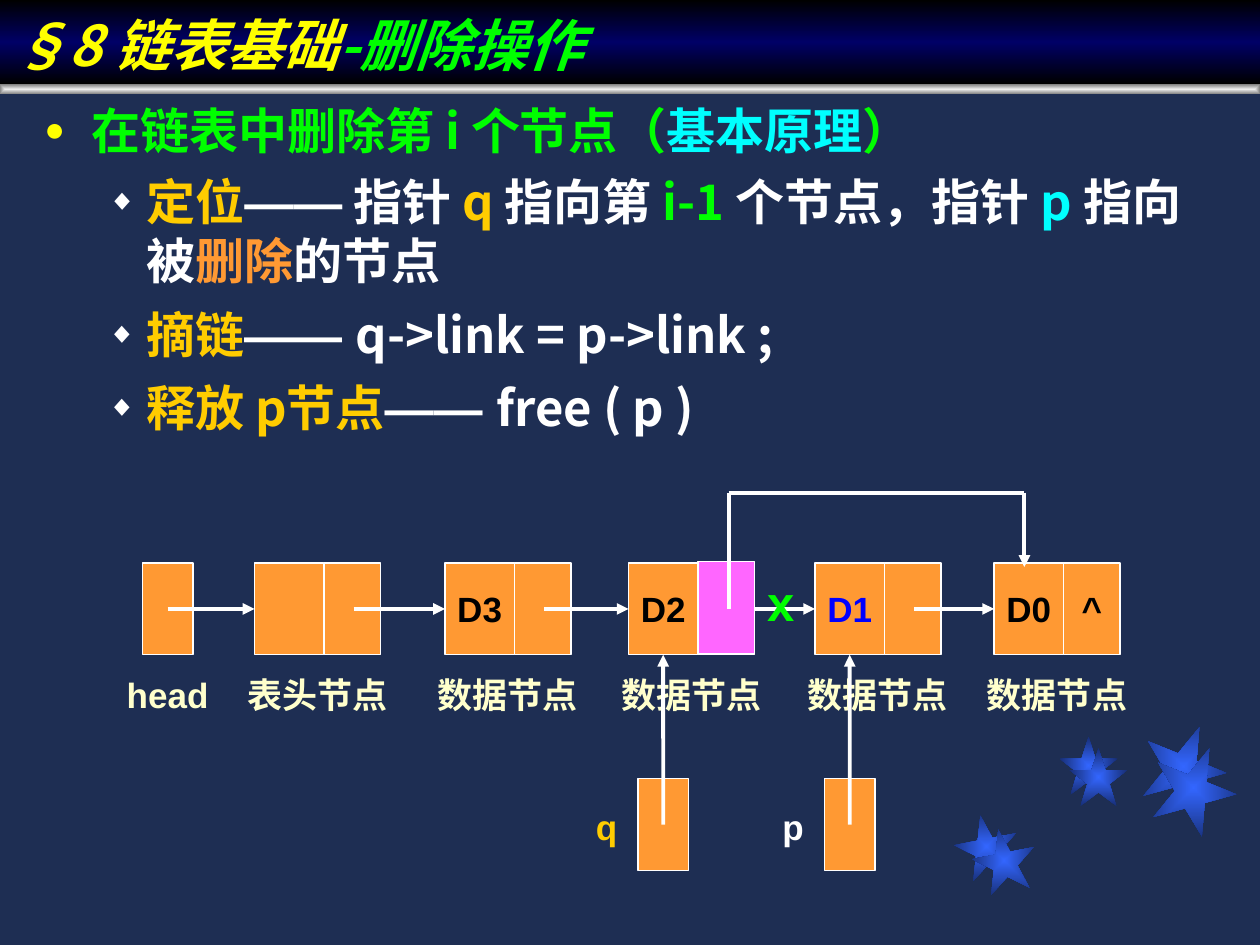
from collections import namedtuple
from dataclasses import dataclass

import lxml.etree
import pptx
import pptx.dml.color
import pptx.enum.shapes
import pptx.enum.text
import pptx.oxml.ns
import pptx.util

Box = namedtuple("Box", "left top width height")
SHAPES = pptx.enum.shapes.MSO_SHAPE
ALIGN = pptx.enum.text.PP_ALIGN
ANCHOR = pptx.enum.text.MSO_ANCHOR


@dataclass(frozen=True)
class Theme:
    """Colours, faces and type sizes of the deck."""
    back: str = "1E2E53"
    white: str = "FFFFFF"
    black: str = "000000"
    yellow: str = "FFFF00"
    green: str = "00FF00"
    cyan: str = "00FFFF"
    gold: str = "FFCC00"
    orange: str = "FF9933"
    pink: str = "FF66FF"
    blue: str = "0000FF"
    cream: str = "FFFFCC"
    band: tuple = ("000000", "000066", "000000")
    rule: tuple = ("EDEDED", "808080")
    star: tuple = ("3366FF", "182F76")
    latin: str = "Arial"
    asian: str = "Noto Sans CJK SC"
    title_size: int = 32
    body_size: int = 28
    label_size: int = 20


THEME = Theme()


def cm(*lengths):
    """Turn centimetres into slide lengths."""
    return [pptx.util.Cm(length) for length in lengths]


def rgb(value):
    """Turn a hex string into a colour."""
    return pptx.dml.color.RGBColor.from_string(value)


def add_node(parent, tag, **attributes):
    """Append a DrawingML element to a parent."""
    node = lxml.etree.SubElement(parent, pptx.oxml.ns.qn(tag))
    for name, value in attributes.items():
        node.set(name, str(value))
    return node


def fill_gradient(shape, colours, centred=True):
    """Fill a shape with evenly spaced stops, from the centre or downwards."""
    shape.fill.gradient()
    gradient = shape.fill._fill._gradFill
    for child in list(gradient):
        gradient.remove(child)
    stops = add_node(gradient, "a:gsLst")
    for index, colour in enumerate(colours):
        stop = add_node(stops, "a:gs", pos=100000 * index // (len(colours) - 1))
        add_node(stop, "a:srgbClr", val=colour)
    if centred:
        shade = add_node(gradient, "a:path", path="rect")
        add_node(shade, "a:fillToRect", l=50000, t=50000, r=50000, b=50000)
    else:
        add_node(gradient, "a:lin", ang=5400000, scaled=0)


def add_span(para, text, colour, size, face, italic=False):
    """Add one bold run to a paragraph."""
    span = para.add_run()
    span.text = text
    span.font.size = pptx.util.Pt(size)
    span.font.bold = True
    span.font.italic = italic
    span.font.color.rgb = rgb(colour)
    span.font.name = face
    add_node(span._r.get_or_add_rPr(), "a:ea", typeface=face)


def write_centred(shape, text, colour, size=THEME.label_size):
    """Write one unwrapped centred line in a shape."""
    frame = shape.text_frame
    frame.word_wrap = False
    frame.margin_left = frame.margin_right = 0
    frame.vertical_anchor = ANCHOR.MIDDLE
    frame.paragraphs[0].alignment = ALIGN.CENTER
    add_span(frame.paragraphs[0], text, colour, size, THEME.latin)


def add_label(page, box, text, colour, size=THEME.label_size):
    """Add a centred text box."""
    write_centred(page.shapes.add_textbox(*cm(*box)), text, colour, size)


def add_cell(page, box, text="", colour=THEME.black, fill=THEME.orange):
    """Add one memory cell."""
    cell = page.shapes.add_shape(SHAPES.RECTANGLE, *cm(*box))
    cell.shadow.inherit = False
    cell.fill.solid()
    cell.fill.fore_color.rgb = rgb(fill)
    cell.line.color.rgb = rgb(THEME.white)
    cell.line.width = pptx.util.Pt(0.75)
    if text:
        write_centred(cell, text, colour)
    return cell


def add_link(page, start, end, arrow=True, target=None, side=None):
    """Add a straight line, joined to a side of a target when one is given."""
    link = page.shapes.add_connector(
        pptx.enum.shapes.MSO_CONNECTOR.STRAIGHT, *cm(*start, *end))
    link.line.color.rgb = rgb(THEME.white)
    link.line.width = pptx.util.Pt(2.25)
    if arrow:
        add_node(link.line._get_or_add_ln(), "a:tailEnd", type="triangle")
    add_node(link._element.spPr, "a:effectLst")
    if target is not None:
        link.end_connect(target, side)


def place_frame(shape, box):
    """Move a text shape and switch wrapping on."""
    shape.left, shape.top, shape.width, shape.height = cm(*box)
    shape.text_frame.word_wrap = True
    shape.text_frame.auto_size = pptx.enum.text.MSO_AUTO_SIZE.NONE
    return shape.text_frame


def build_title(page, box):
    """Set the title band and the metal rule below it."""
    title = page.shapes.title
    frame = place_frame(title, box)
    fill_gradient(title, THEME.band, centred=False)
    frame.vertical_anchor = ANCHOR.BOTTOM
    para = frame.paragraphs[0]
    para.alignment = ALIGN.LEFT
    for text, colour in (("§8 链表基础", THEME.yellow), ("-删除操作", THEME.green)):
        add_span(para, text, colour, THEME.title_size, THEME.asian, italic=True)
    rule = page.shapes.add_shape(
        SHAPES.RECTANGLE, *cm(box.left, box.top + box.height, box.width, 0.2))
    rule.shadow.inherit = False
    rule.line.fill.background()
    fill_gradient(rule, THEME.rule)


def build_list(shape, box, items, spacing=1.0):
    """Fill a text shape with bulleted items given as (level, runs)."""
    styles = (("●", THEME.yellow, 70, 0.95, -0.95),
              ("◆", THEME.white, 60, 2.06, -0.79))
    frame = place_frame(shape, box)
    for index, (level, runs) in enumerate(items):
        para = frame.add_paragraph() if index else frame.paragraphs[0]
        mark, mark_colour, percent, margin, indent = styles[level]
        properties = para._p.get_or_add_pPr()
        properties.set("marL", str(pptx.util.Cm(margin)))
        properties.set("indent", str(pptx.util.Cm(indent)))
        add_node(add_node(properties, "a:buClr"), "a:srgbClr", val=mark_colour)
        add_node(properties, "a:buSzPct", val=percent * 1000)
        add_node(properties, "a:buFont", typeface=THEME.latin)
        add_node(properties, "a:buChar", char=mark)
        para.level = level
        para.line_spacing = spacing
        para.space_before = pptx.util.Pt(7 if index else 0)
        for text, colour in runs:
            face = THEME.latin if text.startswith("—") else THEME.asian
            add_span(para, text, colour, THEME.body_size, face)


def build_chain(page, box):
    """Draw the linked list, its pointers and the bypass link."""
    height, data, link, caption_width = 1.85, 1.4, 1.14, 3.2
    top = box.top + 1.42
    middle = top + height / 2
    label_top = top + 2.04
    nodes = ((2.26, "", THEME.black, "", "表头节点"),
             (6.1, "D3", THEME.black, "", "数据节点"),
             (9.8, "D2", THEME.black, "", "数据节点"),
             (13.56, "D1", THEME.blue, "", "数据节点"),
             (17.17, "D0", THEME.black, "^", "数据节点"))
    add_cell(page, Box(box.left, top, 1.02, height))
    add_label(page, Box(box.left - 0.54, label_top, 2.1, 1.22), "head", THEME.cream)
    start = box.left + 0.51
    cells = []
    for offset, text, colour, mark, caption in nodes:
        left = box.left + offset
        cells.append(add_cell(page, Box(left, top, data, height), text, colour))
        add_cell(page, Box(left + data, top, link, height), mark)
        caption_left = left + (data + link - caption_width) / 2
        add_label(page, Box(caption_left, label_top, caption_width, 1.22),
                  caption, THEME.cream)
    for cell, (offset, *_) in zip(cells, nodes):
        add_link(page, (start, middle), (box.left + offset, middle), True, cell, 1)
        start = box.left + offset + data + 0.6
    for index, name, colour in ((2, "q", THEME.gold), (3, "p", THEME.white)):
        left = box.left + nodes[index][0]
        centre = left + data / 2
        pointer_top = top + 4.35
        add_cell(page, Box(left + 0.19, pointer_top, 1.02, height))
        add_label(page, Box(left - 1, pointer_top + 0.36, 1.12, 1.22), name, colour)
        add_link(page, (centre, pointer_top + height / 2), (centre, top + height),
                 True, cells[index], 2)
    left = box.left + nodes[2][0] + data
    rise, fall = left + 0.62, box.left + nodes[4][0] + 0.61
    add_cell(page, Box(left, top - 0.03, link, height), fill=THEME.pink)
    add_link(page, (rise, middle), (rise, box.top), arrow=False)
    add_link(page, (rise, box.top), (fall, box.top), arrow=False)
    add_link(page, (fall, box.top), (fall, top + 0.08))
    add_label(page, Box(left + 1.32, top + 0.36, 0.7, 0.84), "x",
              THEME.green, THEME.body_size)


def build_stars(page, box):
    """Scatter three pairs of overlapping stars."""
    pairs = ((0, 1.83, 1.27, -11, 0.36, 0.28),
             (2.11, 0.25, 1.17, 0, 0.2, 0.23),
             (3.76, 0, 1.7, 22, 0.2, 0.43))
    for left, top, size, turn, right, down in pairs:
        for step in range(2):
            star = page.shapes.add_shape(SHAPES.STAR_5_POINT, *cm(
                box.left + left + step * right, box.top + top + step * down, size, size))
            star.rotation = turn
            star.shadow.inherit = False
            star.line.fill.background()
            fill_gradient(star, THEME.star)


def main():
    """Build and save the deck."""
    deck = pptx.Presentation()
    deck.slide_width, deck.slide_height = cm(25.4, 19.05)
    page = deck.slides.add_slide(deck.slide_layouts[1])
    page.background.fill.solid()
    page.background.fill.fore_color.rgb = rgb(THEME.back)
    white, gold, green, cyan = THEME.white, THEME.gold, THEME.green, THEME.cyan
    build_stars(page, Box(19.25, 14.6, 5.66, 3.45))
    build_title(page, Box(0, 0, 25.4, 1.7))
    build_list(page.placeholders[1], Box(0.64, 1.9, 24.03, 4.24), (
        (0, (("在链表中删除第 i 个节点（", green), ("基本原理", cyan), ("）", green))),
        (1, (("定位", gold), ("——", white), (" 指针 ", white), ("q ", gold),
             ("指向第 ", white), ("i-1 ", green), ("个节点，指针 ", white), ("p ", cyan),
             ("指向被", white), ("删除", THEME.orange), ("的节点", white)))))
    steps = (("摘链", "q->link = p->link ;"), ("释放 p节点", "free ( p )"))
    for index, (name, code) in enumerate(steps):
        box = Box(0.64, 6.15 + index * 1.47, 22.86, 1.47)
        build_list(page.shapes.add_textbox(*cm(*box)), box,
                   ((1, ((name, gold), ("—— ", white), (code, white))),), spacing=0.9)
    build_chain(page, Box(2.87, 9.93, 19.71, 7.62))
    deck.save("out.pptx")


if __name__ == "__main__":
    main()
